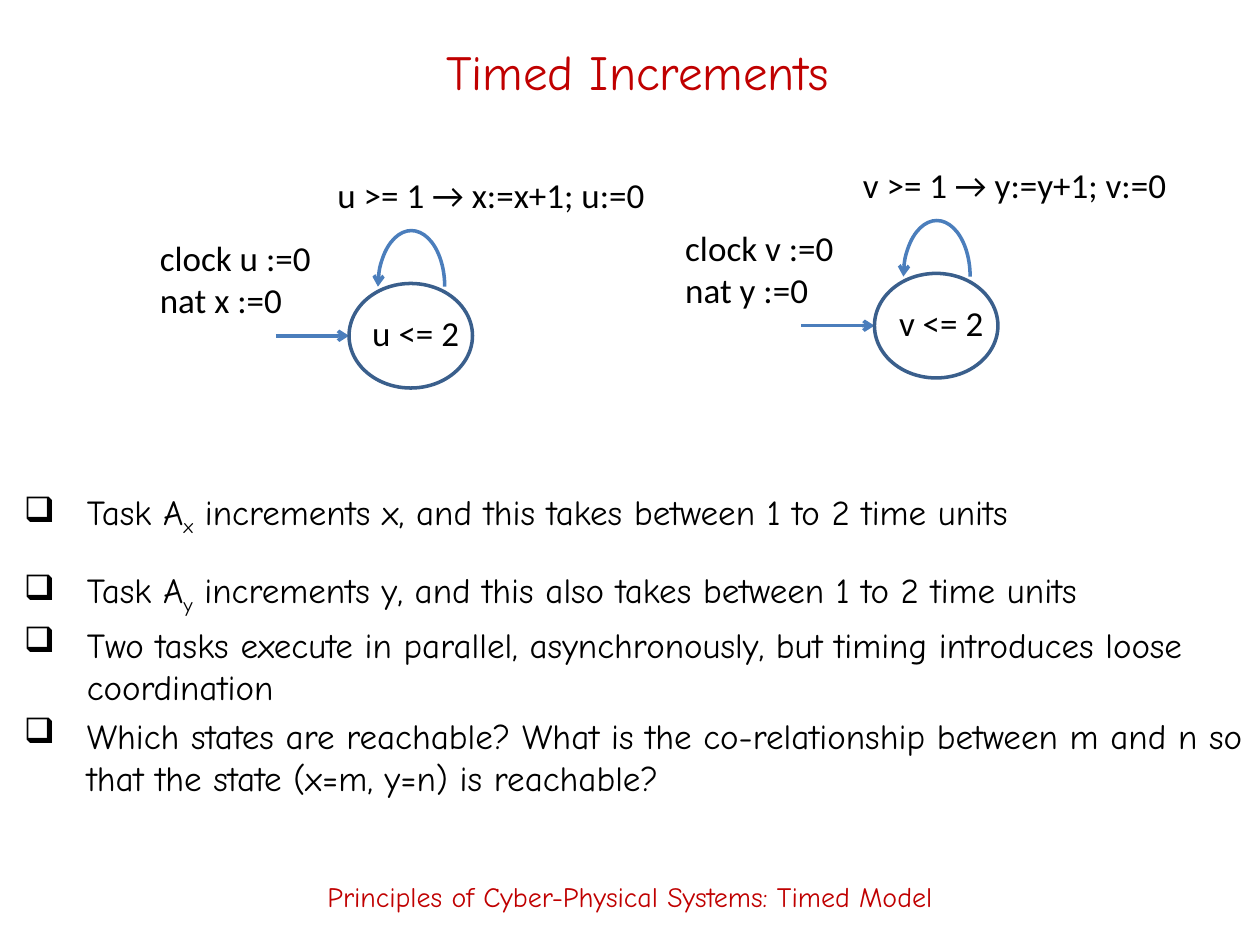
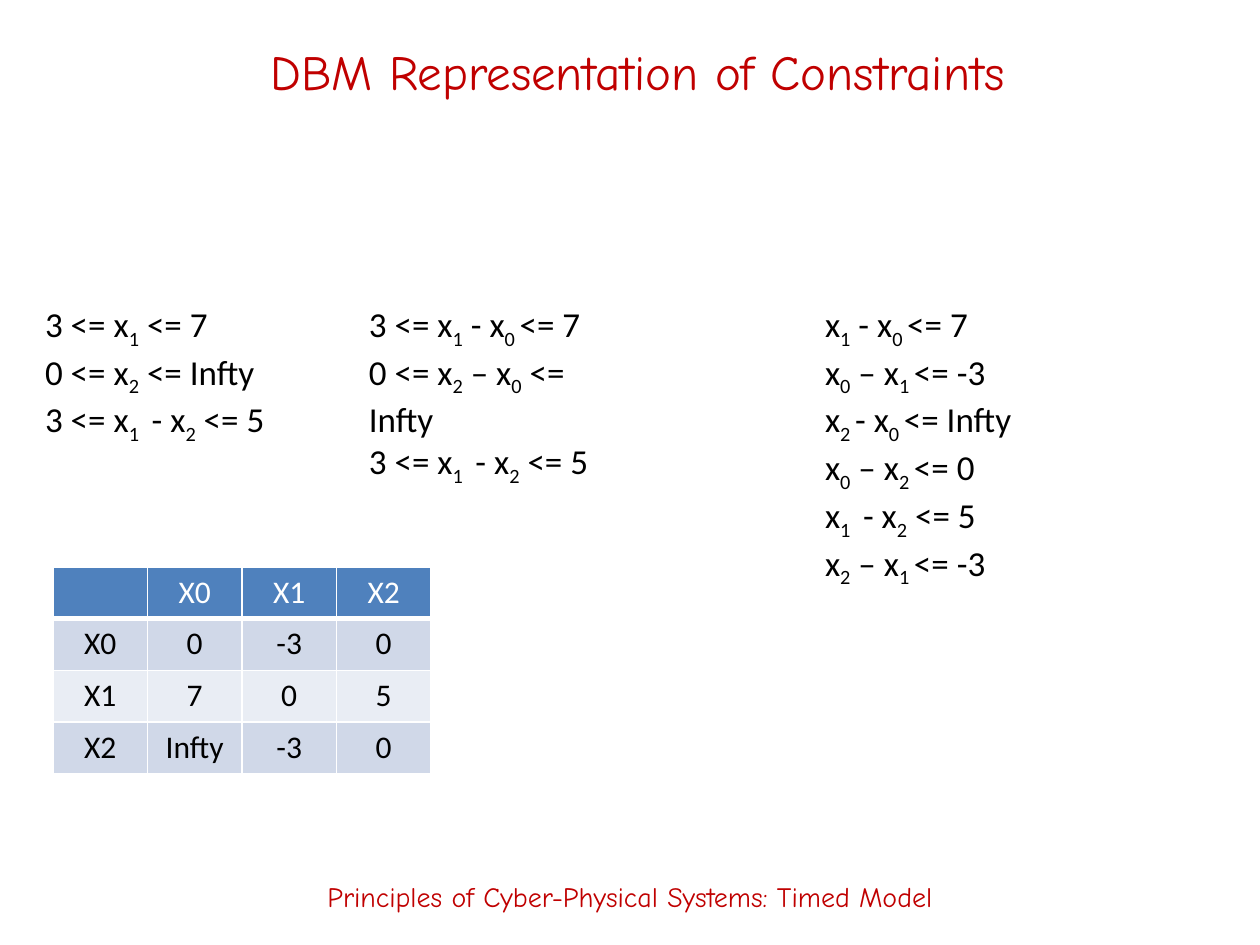
from dataclasses import dataclass
from typing import Any

from lxml.etree import SubElement
from pptx import Presentation
from pptx.dml.color import RGBColor
from pptx.enum.shapes import MSO_CONNECTOR, MSO_SHAPE
from pptx.enum.text import MSO_ANCHOR, PP_ALIGN
from pptx.oxml.ns import qn
from pptx.util import Inches, Pt

HUES = {
    "red": "C00000",
    "black": "000000",
    "white": "FFFFFF",
    "rim": "3A5F8C",
    "arrow": "4B7EBC",
    "head": "4F81BD",
    "dark": "D0D8E8",
    "light": "E9EDF4",
}
COMIC = "Comic Neue"
PLAIN = "Calibri"
FOOT = "Principles of Cyber-Physical Systems: Timed Model"


@dataclass(frozen=True)
class Box:
    left: float
    top: float
    width: float
    height: float

    def span(self) -> tuple:
        return tuple(map(Inches, (self.left, self.top, self.width, self.height)))


@dataclass(frozen=True)
class Style:
    face: str = PLAIN
    size: int = 20
    hue: str = "black"
    align: Any = PP_ALIGN.LEFT
    anchor: Any = MSO_ANCHOR.TOP
    wrap: bool = False


@dataclass(frozen=True)
class Clock:
    left: float
    top: float
    clock: str
    count: str


@dataclass(frozen=True)
class Column:
    left: float
    lines: tuple


TITLE = Style(COMIC, 28, "red", PP_ALIGN.CENTER, MSO_ANCHOR.MIDDLE, True)
FOOTER = Style(COMIC, 16, "red", PP_ALIGN.CENTER, MSO_ANCHOR.MIDDLE, True)
POINT = Style(COMIC, wrap=True)
LABEL = Style()
STATE = Style(align=PP_ALIGN.CENTER)

CLOCKS = (Clock(1.17, 1.33, "u", "x"), Clock(5.34, 1.25, "v", "y"))
POINTS = (
    "Task A_x_ increments x, and this takes between 1 to 2 time units",
    "Task A_y_ increments y, and this also takes between 1 to 2 time units",
    "Two tasks execute in parallel, asynchronously, but timing introduces loose coordination",
    "Which states are reachable? What is the co-relationship between m and n so that the state (x=m, y=n) is reachable?",
)
COLUMNS = (
    Column(0.26, ("3 <= x_1_ <= 7", "0 <= x_2_ <= Infty", "3 <= x_1 _ - x_2_ <= 5")),
    Column(2.83, ("3 <= x_1_ - x_0 _<= 7", "0 <= x_2_ – x_0_ <= Infty", "3 <= x_1 _ - x_2_ <= 5")),
    Column(6.45, (
        "x_1_ - x_0 _<= 7", "x_0_ – x_1 _<= -3", "x_2 _- x_0 _<= Infty",
        "x_0_ – x_2 _<= 0", "x_1 _ - x_2_ <= 5", "x_2_ – x_1 _<= -3",
    )),
)
BOUNDS = (
    ("", "X0", "X1", "X2"),
    ("X0", "0", "-3", "0"),
    ("X1", "7", "0", "5"),
    ("X2", "Infty", "-3", "0"),
)


def shade(name: str) -> RGBColor:
    return RGBColor.from_string(HUES[name])


def assign(thing: Any, values: dict) -> None:
    for key, value in values.items():
        setattr(thing, key, value)


def write(para: Any, text: str, style: Style) -> None:
    para.alignment = style.align
    for index, part in enumerate(text.split("_")):
        if not part:
            continue
        run = para.add_run()
        run.text = part
        assign(run.font, {"name": style.face, "size": Pt(style.size)})
        run.font.color.rgb = shade(style.hue)
        if index % 2:
            run.font._element.set("baseline", "-25000")


def add_text(slide: Any, box: Box, lines: tuple, style: Style) -> Any:
    frame = slide.shapes.add_textbox(*box.span()).text_frame
    assign(frame, {"word_wrap": style.wrap, "vertical_anchor": style.anchor})
    for index, line in enumerate(lines):
        para = frame.add_paragraph() if index else frame.paragraphs[0]
        write(para, line, style)
    return frame


def add_points(slide: Any) -> None:
    frame = add_text(slide, Box(0.09, 3.84, 9.91, 2.9), POINTS, POINT)
    for index, para in enumerate(frame.paragraphs):
        props = para._p.get_or_add_pPr()
        for key, inch in {"marL": 0.5, "indent": -0.5}.items():
            props.set(key, str(Inches(inch)))
        SubElement(props, qn("a:buChar"), char="❑")
        if index:
            para.space_before = Pt(4)
    frame.paragraphs[1].line_spacing = 1.5


def stroke(shape: Any, hue: str, tip: str = "") -> None:
    shape.line.color.rgb = shade(hue)
    shape.line.width = Pt(2)
    if tip:
        SubElement(shape.line._get_or_add_ln(), qn(f"a:{tip}"), type="arrow")


def add_curve(slide: Any, kind: Any, box: Box, hue: str, tip: str = "") -> Any:
    shape = slide.shapes.add_shape(kind, *box.span())
    shape.shadow.inherit = False
    shape.fill.background()
    stroke(shape, hue, tip)
    return shape


def add_clock(slide: Any, item: Clock) -> None:
    left, top, clock, count = item.left, item.top, item.clock, item.count
    ring = Box(left + 1.6, top + 0.92, 0.98, 0.83)
    mid = ring.top + ring.height / 2
    entry = slide.shapes.add_connector(
        MSO_CONNECTOR.STRAIGHT,
        *map(Inches, (left + 1.02, mid, ring.left, mid)),
    )
    stroke(entry, "arrow", "tailEnd")
    SubElement(entry._element.spPr, qn("a:effectLst"))
    start = (f"clock {clock} :=0", f"nat {count} :=0")
    add_text(slide, Box(left, top + 0.5, 1.4, 0.77), start, LABEL)
    guard = f"{clock} >= 1 → {count}:={count}+1; {clock}:=0"
    add_text(slide, Box(left + 1.41, top, 2.67, 0.44), (guard,), LABEL)
    add_curve(slide, MSO_SHAPE.OVAL, ring, "rim")
    add_text(slide, Box(left + 1.68, top + 1.09, 0.9, 0.44), (f"{clock} <= 2",), STATE)
    loop = Box(left + 1.83, top + 0.5, 0.53, 0.89)
    arc = add_curve(slide, MSO_SHAPE.ARC, loop, "arrow", "headEnd")
    arc.adjustments[0] = 108
    arc.adjustments[1] = 0


def add_edge(cell: Any, side: str, width: float) -> None:
    edge = SubElement(cell._tc.get_or_add_tcPr(), qn(f"a:ln{side}"), w=str(Pt(width)))
    fill = SubElement(edge, qn("a:solidFill"))
    SubElement(fill, qn("a:srgbClr"), val=HUES["white"])


def add_bounds(slide: Any) -> None:
    box = Box(0.42, 4.5, 3, 1.64)
    table = slide.shapes.add_table(len(BOUNDS), len(BOUNDS[0]), *box.span()).table
    for row, words in enumerate(BOUNDS):
        style = Style(size=18, hue="black" if row else "white", align=PP_ALIGN.CENTER)
        for col, word in enumerate(words):
            cell = table.cell(row, col)
            for side in "LRTB":
                thick = (row, side) in ((0, "B"), (1, "T"))
                add_edge(cell, side, 3 if thick else 1)
            cell.fill.solid()
            cell.fill.fore_color.rgb = shade(("light", "dark")[row % 2] if row else "head")
            write(cell.text_frame.paragraphs[0], word, style)


def add_slide(deck: Any, title: str) -> Any:
    slide = deck.slides.add_slide(deck.slide_layouts[6])
    add_text(slide, Box(0.77, 0.17, 8.58, 0.78), (title,), TITLE)
    add_text(slide, Box(0, 6.72, 10, 0.78), (FOOT,), FOOTER)
    return slide


def main() -> None:
    deck = Presentation()
    assign(deck, {"slide_width": Inches(10), "slide_height": Inches(7.5)})

    slide = add_slide(deck, "Timed Increments")
    add_points(slide)
    for item in CLOCKS:
        add_clock(slide, item)

    slide = add_slide(deck, "DBM Representation of Constraints")
    for item in COLUMNS:
        box = Box(item.left, 2.35, 2.2, 0.1 + 0.38 * len(item.lines))
        add_text(slide, box, item.lines, LABEL)
    add_bounds(slide)

    deck.save("out.pptx")


if __name__ == "__main__":
    main()
